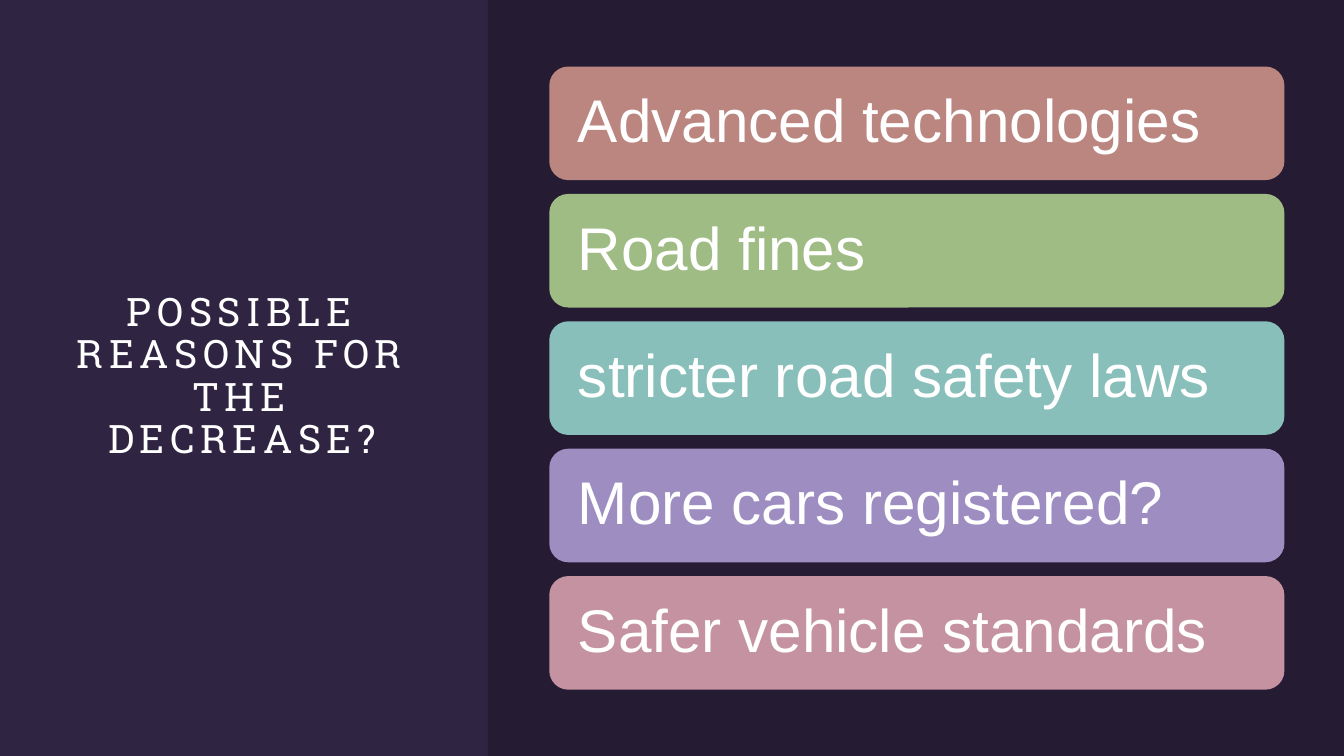
import dataclasses

import lxml.etree
import pptx
import pptx.dml.color
import pptx.enum.shapes
import pptx.enum.text
import pptx.oxml.ns
import pptx.shapes.autoshape
import pptx.slide
import pptx.text.text
import pptx.util

SLIDE_WIDTH = pptx.util.Inches(13.33)
SLIDE_HEIGHT = pptx.util.Inches(7.5)

# Shares of the slide's width (left, width) and height (top, height)
TITLE_AREA = (0.044, 0.157, 0.272, 0.684)
PANEL_AREA = (0.363, 0, 0.637, 1)
REASON_LEFT, REASON_WIDTH = 0.4087, 0.547
FIRST_REASON_TOP, REASON_HEIGHT, REASON_PITCH = 0.088, 0.1503, 0.1685

TITLE_FORMAT = {"name": "Roboto Slab", "size": pptx.util.Pt(28), "bold": False}
REASON_FORMAT = {"name": "Arial", "size": pptx.util.Pt(43)}
TITLE_FRAME = {"margin_left": 0, "margin_right": 0, "margin_top": 0, "margin_bottom": 0}
REASON_FRAME = {
    "margin_left": pptx.util.Inches(0.23),
    "margin_right": pptx.util.Inches(0.23),
    "margin_top": pptx.util.Inches(0.18),
    "margin_bottom": pptx.util.Inches(0.18),
}
COMMON_FRAME = {
    "word_wrap": True,
    "auto_size": pptx.enum.text.MSO_AUTO_SIZE.NONE,
    "vertical_anchor": pptx.enum.text.MSO_ANCHOR.MIDDLE,
}


@dataclasses.dataclass
class Reason:
    text: str
    color: str


REASONS = [
    Reason("Advanced technologies", "BA867F"),
    Reason("Road fines", "9FBC84"),
    Reason("stricter road safety laws", "89BFBA"),
    Reason("More cars registered?", "9D8DC1"),
    Reason("Safer vehicle standards", "C492A1"),
]


def rgb(color: str) -> pptx.dml.color.RGBColor:
    return pptx.dml.color.RGBColor.from_string(color)


def to_lengths(area: tuple) -> list[int]:
    """Turn shares of the slide into left, top, width and height."""
    sides = (SLIDE_WIDTH, SLIDE_HEIGHT) * 2
    return [round(share * side) for share, side in zip(area, sides)]


def set_values(target: object, values: dict) -> None:
    for name, value in values.items():
        setattr(target, name, value)


def write_text(
    frame: pptx.text.text.TextFrame,
    text: str,
    frame_values: dict,
    font_values: dict,
    alignment: pptx.enum.text.PP_ALIGN,
) -> pptx.text.text._Run:
    set_values(frame, COMMON_FRAME | frame_values)
    para = frame.paragraphs[0]
    set_values(para, {"alignment": alignment, "line_spacing": 0.9})
    span = para.add_run()
    span.text = text
    set_values(span.font, font_values)
    span.font.color.rgb = rgb("FFFFFF")
    return span


def add_block(
    page: pptx.slide.Slide,
    kind: pptx.enum.shapes.MSO_SHAPE,
    area: tuple,
    color: str,
) -> pptx.shapes.autoshape.Shape:
    box = page.shapes.add_shape(kind, *to_lengths(area))
    box.shadow.inherit = False
    box.fill.solid()
    box.fill.fore_color.rgb = rgb(color)
    box.line.fill.background()
    return box


def add_title(page: pptx.slide.Slide, text: str) -> None:
    title = page.shapes.title
    set_values(title, dict(zip(("left", "top", "width", "height"), to_lengths(TITLE_AREA))))
    span = write_text(
        title.text_frame, text, TITLE_FRAME, TITLE_FORMAT, pptx.enum.text.PP_ALIGN.CENTER
    )
    span.font._element.set("spc", "400")


def add_panel(page: pptx.slide.Slide) -> None:
    """Darken the right side with a black panel at 20% opacity."""
    panel = add_block(page, pptx.enum.shapes.MSO_SHAPE.RECTANGLE, PANEL_AREA, "000000")
    color = panel._element.spPr.find(".//" + pptx.oxml.ns.qn("a:srgbClr"))
    lxml.etree.SubElement(color, pptx.oxml.ns.qn("a:alpha"), val="20000")


def add_reason(page: pptx.slide.Slide, row: int, reason: Reason) -> None:
    top = FIRST_REASON_TOP + row * REASON_PITCH
    area = (REASON_LEFT, top, REASON_WIDTH, REASON_HEIGHT)
    box = add_block(page, pptx.enum.shapes.MSO_SHAPE.ROUNDED_RECTANGLE, area, reason.color)
    write_text(
        box.text_frame, reason.text, REASON_FRAME, REASON_FORMAT, pptx.enum.text.PP_ALIGN.LEFT
    )


def main() -> None:
    deck = pptx.Presentation()
    set_values(deck, {"slide_width": SLIDE_WIDTH, "slide_height": SLIDE_HEIGHT})
    page = deck.slides.add_slide(deck.slide_layouts.get_by_name("Title Only"))
    page.background.fill.solid()
    page.background.fill.fore_color.rgb = rgb("2F2441")
    add_title(page, "POSSIBLE REASONS FOR THE DECREASE?")
    add_panel(page)
    for row, reason in enumerate(REASONS):
        add_reason(page, row, reason)
    deck.save("out.pptx")


if __name__ == "__main__":
    main()
